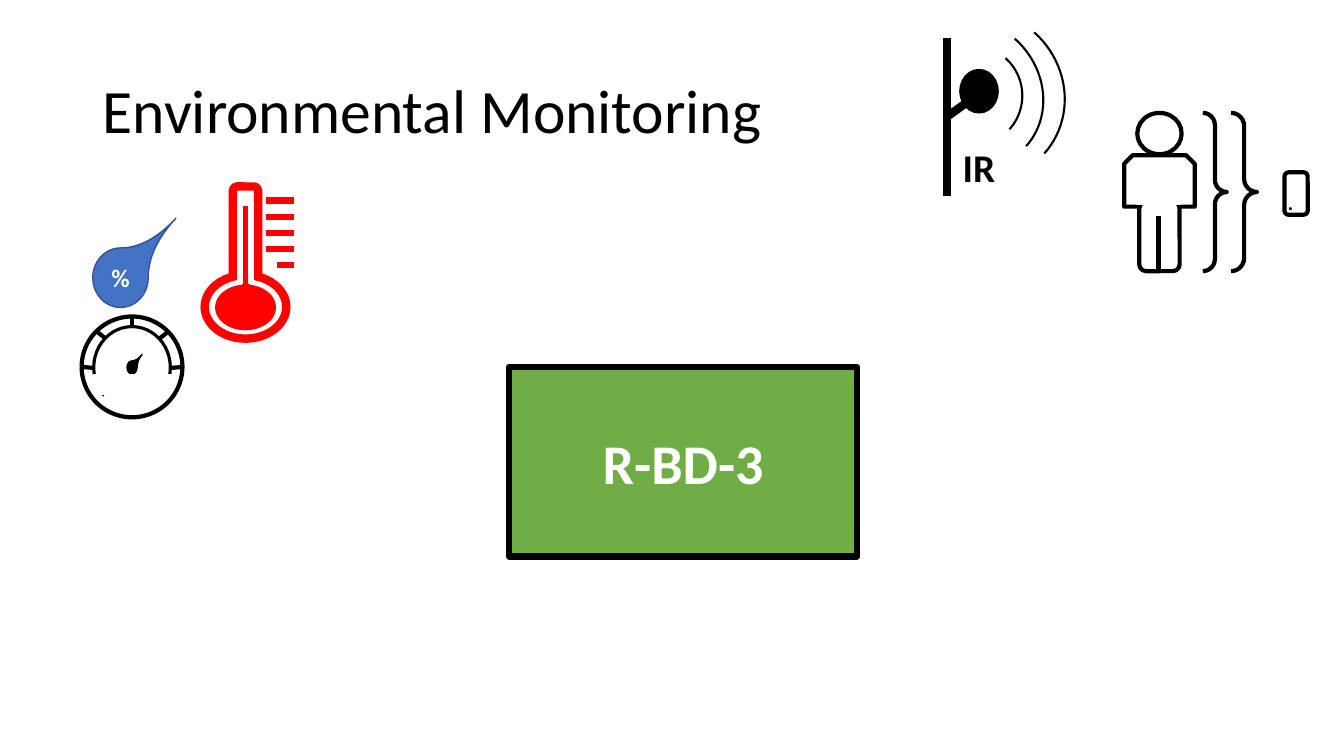
from lxml import etree
from pptx import Presentation
from pptx.dml.color import RGBColor
from pptx.enum.shapes import MSO_CONNECTOR, MSO_SHAPE
from pptx.enum.text import MSO_ANCHOR, PP_ALIGN
from pptx.oxml.ns import qn
from pptx.util import Inches, Pt

RECT, OVAL, TEAR = MSO_SHAPE.RECTANGLE, MSO_SHAPE.OVAL, MSO_SHAPE.TEAR
ROUND, SNIP = MSO_SHAPE.ROUNDED_RECTANGLE, MSO_SHAPE.SNIP_2_SAME_RECTANGLE
TUBE = MSO_SHAPE.FLOWCHART_ALTERNATE_PROCESS
ARC, BRACE = MSO_SHAPE.ARC, MSO_SHAPE.RIGHT_BRACE
STRAIGHT = MSO_CONNECTOR.STRAIGHT
TOP, MIDDLE = MSO_ANCHOR.TOP, MSO_ANCHOR.MIDDLE
LEFT, CENTER = PP_ALIGN.LEFT, PP_ALIGN.CENTER
BLACK, WHITE, RED = "000000", "FFFFFF", "FF0000"
BLUE, NAVY, GREEN = "4472C4", "325491", "70AD47"


def tint(code):
    return RGBColor.from_string(code)


class Sketch:
    """Draw styled elements on one slide."""

    def __init__(self, slide, font="Calibri"):
        self.slide = slide
        self.font = font

    def text(self, shape, words, size, color=BLACK, bold=False,
             align=LEFT, anchor=TOP, wrap=True, space=None):
        frame = shape.text_frame
        frame.word_wrap = wrap
        frame.vertical_anchor = anchor
        para = frame.paragraphs[0]
        para.alignment = align
        if space:
            para.line_spacing = space
        run = para.add_run()
        run.text = words
        run.font.name = self.font
        run.font.size = Pt(size)
        run.font.bold = bold
        run.font.color.rgb = tint(color)

    def label(self, box, words, size, **style):
        shape = self.slide.shapes.add_textbox(*map(Inches, box))
        self.text(shape, words, size, **style)

    def shape(self, kind, box, fill=WHITE, line=BLACK, width=1, turn=0, adjust=None):
        shape = self.slide.shapes.add_shape(kind, *map(Inches, box))
        shape.shadow.inherit = False
        shape.rotation = turn
        if fill:
            shape.fill.solid()
            shape.fill.fore_color.rgb = tint(fill)
        else:
            shape.fill.background()
        shape.line.color.rgb = tint(line)
        shape.line.width = Pt(width)
        if adjust is not None:
            shape.adjustments[0] = adjust
        return shape

    def line(self, start, end, color=BLACK, width=3):
        link = self.slide.shapes.add_connector(STRAIGHT, *map(Inches, start + end))
        link.line.color.rgb = tint(color)
        link.line.width = Pt(width)
        etree.SubElement(link._element.spPr, qn("a:effectLst"))


def thermo(art):
    art.shape(TUBE, (2.31, 1.85, 0.25, 1.29), line=RED, width=6)
    art.shape(OVAL, (2.03, 2.73, 0.81, 0.63), line=RED, width=6)
    art.shape(OVAL, (2.14, 2.83, 0.59, 0.44), RED, RED)
    art.line((2.44, 3.14), (2.44, 2.04), RED, 6)
    for x in (2.38, 2.49):
        art.line((x, 1.99), (x, 2.82), WHITE, 4.5)
    for i in range(5):
        y = 1.99 + 0.16 * i
        art.line((2.75 if i == 4 else 2.64, y), (2.92, y), RED, 4.5)


def gauge(art):
    art.shape(OVAL, (0.81, 3.14, 1, 1), width=3)
    art.shape(TEAR, (1.26, 3.58, 0.1, 0.13), BLACK, adjust=2)
    art.shape(OVAL, (0.93, 3.24, 0.76, 0.81), None, width=2.25)
    art.shape(RECT, (0.93, 3.72, 0.77, 0.17), line=WHITE)
    ticks = [((1.31, 3.24), (1.31, 3.14)), ((1.7, 3.65), (1.81, 3.64)),
             ((1.58, 3.36), (1.67, 3.29)), ((0.96, 3.29), (1.05, 3.36)),
             ((0.81, 3.64), (0.93, 3.65))]
    for start, end in ticks:
        art.line(start, end)
    art.shape(ARC, (0.89, 3.2, 0.8, 0.85), None, WHITE, 6, turn=130.7)
    art.line((0.93, 3.88), (1.7, 3.88), WHITE, 6)


def person(art):
    for box in ((11.93, 1.12, 0.24, 1.57), (12.21, 1.12, 0.26, 1.57)):
        art.shape(BRACE, box, None, width=3, adjust=0.5)
    art.shape(OVAL, (11.28, 1.12, 0.44, 0.41), width=3)
    art.shape(SNIP, (11.15, 1.54, 0.7, 0.51), width=3)
    art.shape(ROUND, (11.3, 2, 0.4, 0.69), width=3)
    art.shape(RECT, (11.28, 1.92, 0.42, 0.09), line=WHITE, width=3)
    art.line((11.49, 2.7), (11.49, 2.14))
    art.shape(ROUND, (12.74, 1.71, 0.23, 0.42), width=3)
    art.label((12.67, 1.79, 0.27, 0.4), ".", 18, wrap=False)


def sensor(art):
    art.line((9.39, 0.38), (9.39, 1.94), width=6)
    art.line((9.39, 1.16), (9.64, 0.98), width=6)
    art.shape(OVAL, (9.52, 0.69, 0.38, 0.43), BLACK)
    art.label((9.45, 1.37, 0.67, 0.57), "IR", 28, bold=True)
    for box in ((9.14, 0.45, 1, 1), (8.79, 0.2, 1.59, 1.44), (8.83, 0.11, 1.75, 1.66)):
        art.shape(ARC, box, None, width=1.5, turn=41.8)


def main():
    deck = Presentation()
    deck.slide_width, deck.slide_height = Inches(13.33), Inches(7.5)
    art = Sketch(deck.slides.add_slide(deck.slide_layouts[6]))
    art.label((0.92, 0.4, 11.5, 1.45), "Environmental Monitoring", 44,
              anchor=MIDDLE, space=0.9)
    thermo(art)
    drop = art.shape(TEAR, (0.92, 2.46, 0.55, 0.59), BLUE, NAVY, adjust=2)
    art.text(drop, "%", 18, color=WHITE, bold=True, align=CENTER, anchor=MIDDLE)
    board = art.shape(RECT, (5.05, 3.64, 3.45, 1.88), GREEN, width=4.5)
    art.text(board, "R-BD-3", 40, color=WHITE, bold=True, align=CENTER, anchor=MIDDLE)
    gauge(art)
    person(art)
    sensor(art)
    deck.save("out.pptx")


if __name__ == "__main__":
    main()
